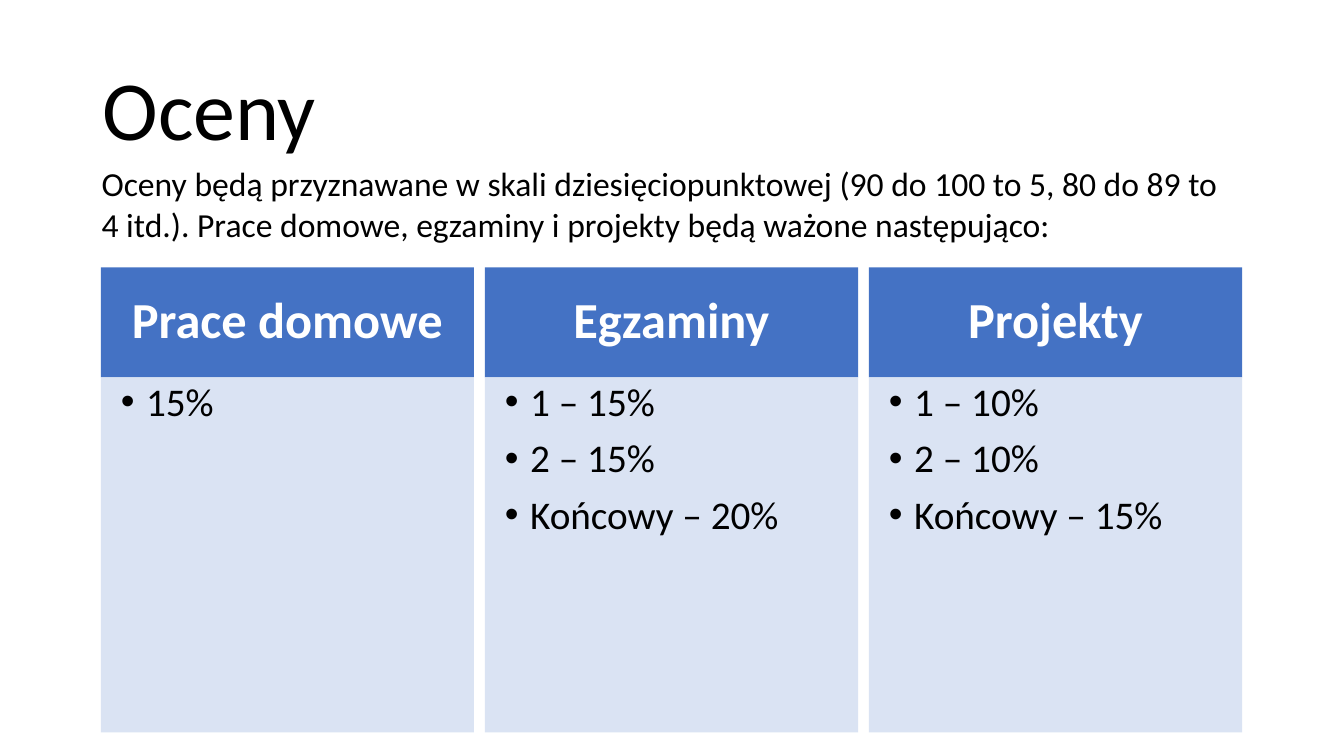
from pptx import Presentation
from pptx.dml.color import RGBColor
from pptx.enum import shapes, text
from pptx.oxml.ns import qn
from pptx.util import Pt
from lxml import etree

COLORS = {"ink": "000000", "header": "4472C4", "panel": "DAE3F3", "white": "FFFFFF"}
FONT = "Calibri"

# Card grid
LEFT, TOP, STEP = 72, 191, 274.3
CARD_W, HEADER_H, PANEL_H = 266.6, 78.6, 253.6

INTRO = ("Oceny będą przyznawane w skali dziesięciopunktowej (90 do 100 to 5, "
         "80 do 89 to 4 itd.). Prace domowe, egzaminy i projekty będą ważone "
         "następująco:")
CARDS = [
    ("Prace domowe", ["15%"]),
    ("Egzaminy", ["1 – 15%", "2 – 15%", "Końcowy – 20%"]),
    ("Projekty", ["1 – 10%", "2 – 10%", "Końcowy – 15%"]),
]


def rgb(name):
    return RGBColor.from_string(COLORS[name])


def place(sp, x, y, w, h):
    sp.left, sp.top, sp.width, sp.height = Pt(x), Pt(y), Pt(w), Pt(h)


def add_bullet(p):
    pPr = p._p.get_or_add_pPr()
    pPr.set("marL", str(Pt(25.2)))
    pPr.set("indent", str(-Pt(18)))
    etree.SubElement(pPr, qn("a:buFont")).set("typeface", "Arial")
    etree.SubElement(pPr, qn("a:buChar")).set("char", "•")


def remove_bullet(p):
    pPr = p._p.get_or_add_pPr()
    pPr.set("marL", "0")
    pPr.set("indent", "0")
    etree.SubElement(pPr, qn("a:buNone"))


def write(sp, lines, size, color="ink", bold=False, align=text.PP_ALIGN.LEFT,
          anchor=text.MSO_ANCHOR.TOP, spacing=0.9, mark=None):
    tf = sp.text_frame
    tf.text = "\n".join(lines)
    tf.word_wrap = True
    tf.auto_size = text.MSO_AUTO_SIZE.NONE
    tf.vertical_anchor = anchor
    for i, p in enumerate(tf.paragraphs):
        if mark:
            mark(p)
        p.alignment = align
        p.line_spacing = spacing
        p.space_before = Pt(10 if i else 0)
        for r in p.runs:
            r.font.name, r.font.size, r.font.bold = FONT, Pt(size), bold
            r.font.color.rgb = rgb(color)


def fill_box(sp, color):
    sp.fill.solid()
    sp.fill.fore_color.rgb = rgb(color)
    sp.line.fill.background()


def add_box(s):
    sp = s.shapes.add_shape(shapes.MSO_SHAPE.RECTANGLE, 0, 0, 0, 0)
    sp.shadow.inherit = False
    return sp


def fill_card(header, panel, x, heading, items):
    place(header, x, TOP, CARD_W, HEADER_H)
    fill_box(header, "header")
    write(header, [heading], 36, "white", True, text.PP_ALIGN.CENTER,
          text.MSO_ANCHOR.MIDDLE, mark=remove_bullet)
    place(panel, x, TOP + HEADER_H, CARD_W, PANEL_H)
    fill_box(panel, "panel")
    write(panel, items, 28, mark=add_bullet)


def main():
    prs = Presentation()
    prs.slide_width, prs.slide_height = Pt(960), Pt(540)
    s = prs.slides.add_slide(prs.slide_layouts[4])
    title, *bodies = s.placeholders

    # Title and introduction
    place(title, 66, 28.8, 828, 104.4)
    write(title, ["Oceny"], 60, anchor=text.MSO_ANCHOR.MIDDLE)
    intro = s.shapes.add_textbox(0, 0, 0, 0)
    place(intro, 65.5, 113, 828, 65.5)
    write(intro, [INTRO], 24, spacing=1)

    # Grade cards: the first in plain boxes, the others in the placeholders
    boxes = [add_box(s), add_box(s)] + bodies
    for i, (heading, items) in enumerate(CARDS):
        header, panel = boxes[2 * i:2 * i + 2]
        fill_card(header, panel, LEFT + i * STEP, heading, items)

    prs.save("out.pptx")


if __name__ == "__main__":
    main()
